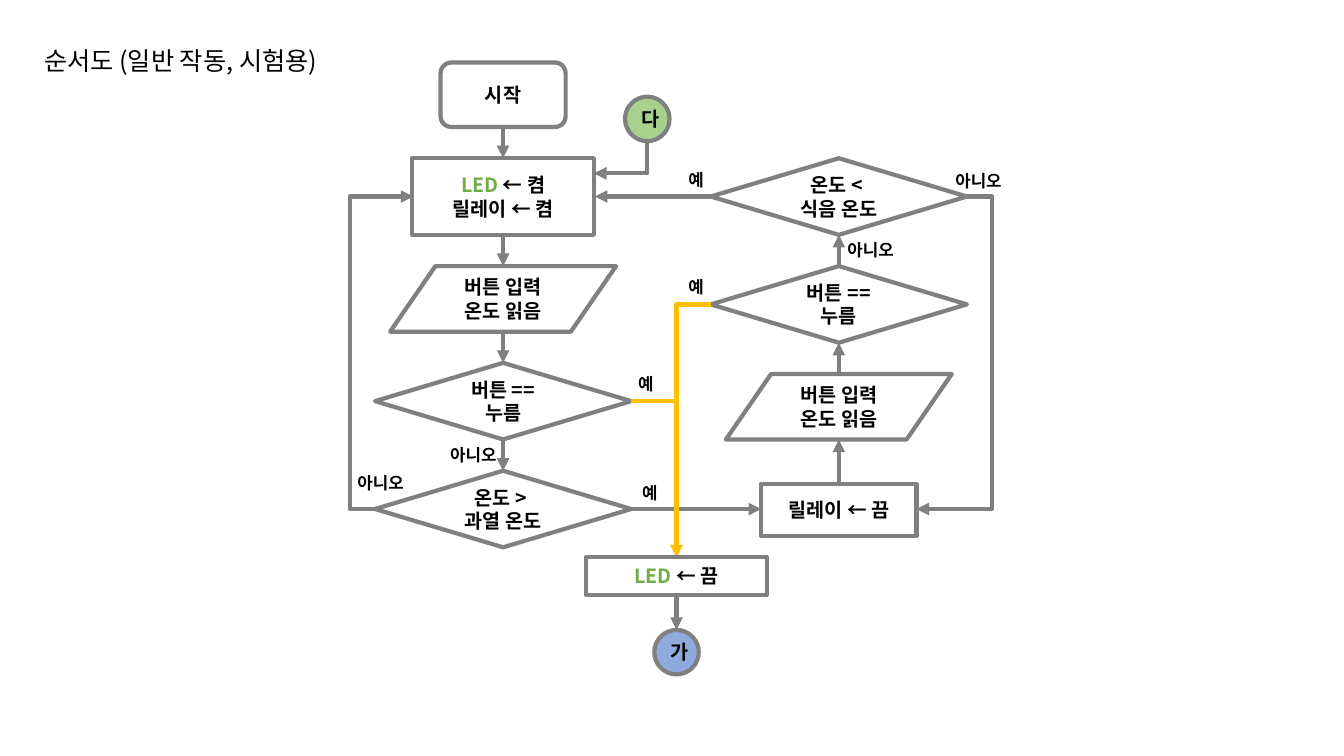
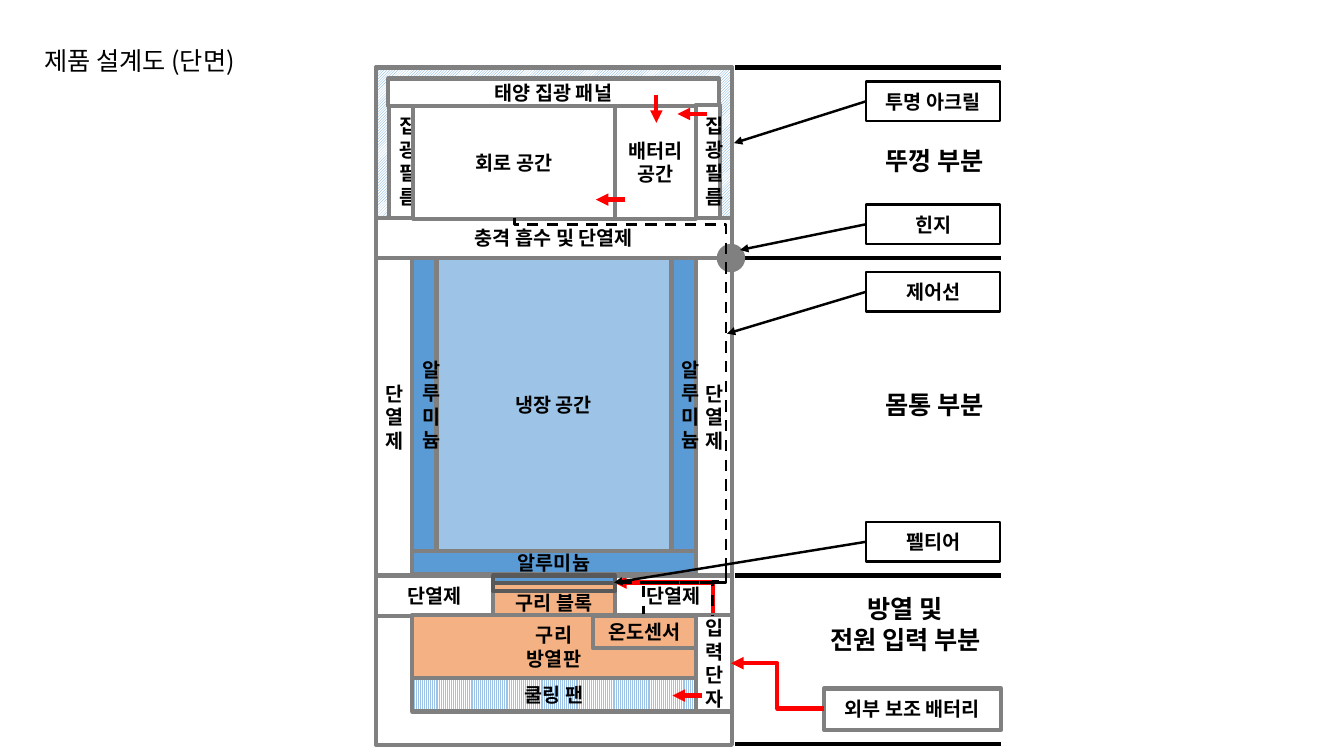
"""Build a control flowchart slide and a product cross-section slide."""
from dataclasses import dataclass
from typing import Optional, Union

from lxml import etree
from pptx import Presentation
from pptx.dml.color import RGBColor
from pptx.enum.dml import MSO_LINE, MSO_PATTERN
from pptx.enum.shapes import MSO_CONNECTOR, MSO_SHAPE
from pptx.enum.text import MSO_ANCHOR, PP_ALIGN
from pptx.oxml.ns import qn
from pptx.util import Inches, Pt

RECT = MSO_SHAPE.RECTANGLE
PROCESS = MSO_SHAPE.FLOWCHART_PROCESS
TERMINAL = MSO_SHAPE.FLOWCHART_ALTERNATE_PROCESS
DECISION = MSO_SHAPE.FLOWCHART_DECISION
DATA = MSO_SHAPE.FLOWCHART_DATA
OVAL = MSO_SHAPE.OVAL
DIAGONAL = MSO_PATTERN.LIGHT_UPWARD_DIAGONAL
VERTICAL = MSO_PATTERN.LIGHT_VERTICAL
DASH = MSO_LINE.DASH
STRAIGHT = MSO_CONNECTOR.STRAIGHT
CENTER, LEFT = PP_ALIGN.CENTER, PP_ALIGN.LEFT
MIDDLE, TOP = MSO_ANCHOR.MIDDLE, MSO_ANCHOR.TOP

FONT = "Noto Sans CJK KR"
BLACK, WHITE, GRAY, DARK = "000000", "FFFFFF", "808080", "595959"
RED, AMBER, GREEN = "FF0000", "FFC000", "70AD47"
BLUE, SKY, COPPER = "5B9BD5", "9DC3E6", "F4B183"
MINT, PERIWINKLE = "A9D18E", "8FAADC"
ACCENT = "LED"
Point = tuple[float, float]


@dataclass
class Box:
    """A preset shape with optional centred text."""
    left: float
    top: float
    width: float
    height: float
    text: str = ""
    fill: Optional[str] = None
    kind: MSO_SHAPE = RECT
    line: str = GRAY
    weight: float = 3
    pattern: Optional[MSO_PATTERN] = None


@dataclass
class Label:
    """Free text in a box."""
    left: float
    top: float
    width: float
    height: float
    text: str
    size: float = 12
    bold: bool = True
    align: PP_ALIGN = CENTER
    wrap: bool = False


@dataclass
class Route:
    """A straight or right-angled line through points."""
    points: list[Point]
    color: str = GRAY
    weight: float = 3
    arrow: bool = True
    dashed: bool = False


Item = Union[Box, Label, Route]


def rgb(color: str) -> RGBColor:
    """Turn a hex string into a colour."""
    return RGBColor.from_string(color)


def write(frame, text: str, size: float, bold: bool, align: PP_ALIGN) -> None:
    """Fill a text frame with one paragraph per line."""
    for index, line in enumerate(text.split("\n")):
        para = frame.paragraphs[0] if index == 0 else frame.add_paragraph()
        para.alignment = align
        para.font.size, para.font.bold = Pt(size), bold
        para.font.color.rgb = rgb(BLACK)
        para.font.name = FONT
        defaults = para._p.find(".//" + qn("a:defRPr"))
        etree.SubElement(defaults, qn("a:ea"), typeface=FONT)
        if line.startswith(ACCENT):
            span = para.add_run()
            span.text = ACCENT
            span.font.color.rgb = rgb(GREEN)
            line = line.removeprefix(ACCENT)
        para.add_run().text = line


def draw_box(page, item: Box) -> None:
    """Draw a preset shape."""
    box = page.shapes.add_shape(item.kind, Inches(item.left), Inches(item.top),
                                Inches(item.width), Inches(item.height))
    box.shadow.inherit = False
    if item.pattern:
        box.fill.patterned()
        box.fill.pattern = item.pattern
        box.fill.fore_color.rgb = rgb(item.fill)
        box.fill.back_color.rgb = rgb(WHITE)
    elif item.fill:
        box.fill.solid()
        box.fill.fore_color.rgb = rgb(item.fill)
    else:
        box.fill.background()
    box.line.color.rgb = rgb(item.line)
    box.line.width = Pt(item.weight)
    if item.text:
        box.text_frame.word_wrap = True
        box.text_frame.vertical_anchor = MIDDLE
        write(box.text_frame, item.text, 14, True, CENTER)


def draw_label(page, item: Label) -> None:
    """Draw free text."""
    box = page.shapes.add_textbox(Inches(item.left), Inches(item.top),
                                  Inches(item.width), Inches(item.height))
    box.text_frame.word_wrap = item.wrap
    box.text_frame.vertical_anchor = TOP
    write(box.text_frame, item.text, item.size, item.bold, item.align)


def bend(line, points: list[Point], upright: bool) -> None:
    """Give a connector the right-angled preset that follows the points."""
    geometry = line.element.spPr.find(qn("a:prstGeom"))
    geometry.set("prst", f"bentConnector{len(points) - 1}")
    guides = geometry.find(qn("a:avLst"))
    if guides is None:
        guides = etree.SubElement(geometry, qn("a:avLst"))
    start, end = points[0], points[-1]
    for index, point in enumerate(points[1:-2], start=1):
        axis = (index + 1 + upright) % 2
        share = (point[axis] - start[axis]) / (end[axis] - start[axis])
        etree.SubElement(guides, qn("a:gd"), name=f"adj{index}",
                         fmla=f"val {round(share * 100000)}")


def draw_route(page, item: Route) -> None:
    """Draw a connector, turned a quarter when a bent one starts vertically."""
    (x1, y1), (x2, y2) = item.points[0], item.points[-1]
    bent = len(item.points) > 2
    upright = bent and item.points[1][0] == x1
    turn = 0
    if upright:
        turn = 90 if x2 < x1 and y2 > y1 else 270
        sign = 1 if turn == 90 else -1
        mid_x, mid_y = (x1 + x2) / 2, (y1 + y2) / 2
        half_x, half_y = sign * (y2 - y1) / 2, sign * (x1 - x2) / 2
        x1, x2 = mid_x - half_x, mid_x + half_x
        y1, y2 = mid_y - half_y, mid_y + half_y
    line = page.shapes.add_connector(STRAIGHT, Inches(x1), Inches(y1), Inches(x2), Inches(y2))
    if bent:
        bend(line, item.points, upright)
    if turn:
        line.element.spPr.find(qn("a:xfrm")).set("rot", str(turn * 60000))
    line.line.color.rgb = rgb(item.color)
    line.line.width = Pt(item.weight)
    if item.dashed:
        line.line.dash_style = DASH
    if item.arrow:
        etree.SubElement(line.line._get_or_add_ln(), qn("a:tailEnd"), type="triangle")
    etree.SubElement(line.element.spPr, qn("a:effectLst"))


def add_page(deck, title: str, items: list[Item]) -> None:
    """Add a titled slide and draw its items from back to front."""
    page = deck.slides.add_slide(deck.slide_layouts[6])
    draw_label(page, Label(0.34, 0.4, 3.2, 0.4, title, 18, False, LEFT, True))
    painters = {Box: draw_box, Label: draw_label, Route: draw_route}
    for item in items:
        painters[type(item)](page, item)


def node(kind: MSO_SHAPE, center: float, top: float, text: str,
         fill: Optional[str] = None) -> Box:
    """Place a flowchart node of its usual size under a column centre."""
    width, height = {DECISION: (2.54, 0.76), DATA: (2.24, 0.65), PROCESS: (1.8, 0.76),
                     TERMINAL: (1.24, 0.64), OVAL: (0.44, 0.44)}[kind]
    return Box(center - width / 2, top, width, height, text, fill, kind)


def answer(left: float, top: float, text: str) -> Label:
    """Place the answer on a branch."""
    return Label(left, top, 0.37 if text == "예" else 0.71, 0.3, text)


def flowchart() -> list[Item]:
    """List the flowchart's nodes, branches and answers."""
    heat, cool, off = 4.99, 8.32, 6.71
    pressed, reading = "버튼 ==\n누름", "버튼 입력\n온도 읽음"
    nodes = [
        node(TERMINAL, heat, 0.62, "시작"),
        node(PROCESS, heat, 1.57, "LED ← 켬\n릴레이 ← 켬"),
        node(DATA, heat, 2.64, reading),
        node(DECISION, heat, 3.6, pressed),
        node(DECISION, heat, 4.67, "온도 > \n과열 온도"),
        Box(7.55, 4.8, 1.54, 0.52, "릴레이 ← 끔", kind=PROCESS),
        node(DATA, cool, 3.71, reading),
        node(DECISION, cool, 2.64, pressed),
        node(DECISION, cool, 1.57, "온도 < \n식음 온도"),
    ]
    steps = [(heat, 1.26, 1.57), (heat, 2.33, 2.64), (heat, 3.29, 3.6), (heat, 4.36, 4.67),
             (cool, 4.8, 4.36), (cool, 3.71, 3.4), (cool, 2.64, 2.33), (off, 5.91, 6.25)]
    routes = [Route([(x, start), (x, end)]) for x, start, end in steps]
    routes += [
        Route([(3.72, 5.05), (3.47, 5.05), (3.47, 1.95), (4.1, 1.95)]),
        Route([(6.26, 5.05), (7.55, 5.05)]),
        Route([(7.05, 1.95), (5.9, 1.95)]),
        Route([(9.59, 1.95), (9.84, 1.95), (9.84, 5.05), (9.09, 5.05)]),
        Route([(6.42, 1.41), (6.42, 1.72), (5.89, 1.72)]),
        Route([(7.05, 3.02), (off, 3.02), (off, 5.53)], AMBER),
        Route([(6.26, 3.98), (off, 3.98), (off, 5.53)], AMBER),
    ]
    yes = [(6.72, 1.63), (6.72, 2.7), (6.22, 3.66), (6.26, 4.74)]
    no = [(3.42, 4.64), (9.35, 1.64), (4.34, 4.36), (8.28, 2.33)]
    answers = [answer(*spot, "예") for spot in yes] + [answer(*spot, "아니오") for spot in no]
    ends = [Box(5.81, 5.53, 1.8, 0.37, "LED ← 끔", kind=PROCESS),
            node(OVAL, off, 6.25, "가", PERIWINKLE),
            node(OVAL, 6.42, 0.96, "다", MINT)]
    return nodes + routes + answers + ends


def stacked(word: str) -> str:
    """Put each letter on its own line."""
    return "\n".join(word)


def callout(top: float, text: str, target: Point) -> list[Item]:
    """Name a part in a box at the right and point at it."""
    left, height = 8.59, 0.39
    return [Box(left, top, 1.33, height, text, kind=PROCESS, line=BLACK, weight=1.75),
            Route([(left, top + height / 2), target], BLACK, 1.75)]


def cross_section() -> list[Item]:
    """List the parts of the product, its wiring and its callouts."""
    left, inner, right, width = 3.73, 4.09, 6.9, 3.53
    core, wall, lining = right - inner, 0.36, 0.24
    lid, lid_end, body, base, sink = 0.67, 2.16, 2.56, 5.71, 6.1
    peltier = (6.09, 5.78)
    items: list[Item] = [
        Box(left, lid, width, 6.72, fill=WHITE),
        Box(left, lid, width, lid_end - lid, fill=BLUE, pattern=DIAGONAL),
        Box(3.86, 1.04, lining, 1.12, stacked("집광필름"), WHITE),
        Box(left, body, wall, base - body, stacked("단열제")),
        Box(right, body, wall, base - body, stacked("단열제")),
        Box(left, base, 1.16, 0.4, "단열제"),
        Box(left, lid_end, width, 0.4, "충격 흡수 및 단열제"),
        Box(4.89, 5.85, 1.21, 0.25, "구리 블록", COPPER),
        Box(4.1, 1.05, 2, 1.12, "회로 공간", WHITE),
        Box(6.1, 1.05, 0.8, 1.12, "배터리 공간", WHITE),
        Box(3.85, 0.78, 3.28, 0.27, "태양 집광 패널", WHITE),
        Box(inner, sink, core, 0.63, "구리\n방열판", COPPER),
        Box(inner, 6.73, core, 0.33, "쿨링 팬", SKY, pattern=VERTICAL),
        Box(inner, 5.47, core, 0.23, "알루미늄", BLUE),
        Box(8.17, 6.83, 1.76, 0.41, "외부 보조 배터리"),
        Box(4.32, body, 2.34, 2.91, "냉장 공간", SKY),
    ]
    items += [Route([(7.29, y), (9.93, y)], BLACK, arrow=False) for y in (lid, body, base, 7.38)]
    items += [
        Label(8.62, 1.39, 1.3, 0.4, "뚜껑 부분", 18),
        Label(8.62, 3.81, 1.3, 0.4, "몸통 부분", 18),
        Label(8.03, 5.84, 1.9, 0.71, "방열 및\n전원 입력 부분", 18),
    ]
    items += [Box(x, body, lining, 2.91, stacked("알루미늄"), BLUE)
              for x in (inner, right - lining)]
    items += [
        Box(7.13, 2.44, 0.24, 0.24, fill=GRAY, kind=OVAL),
        Box(right, 1.04, lining, 1.12, stacked("집광필름"), WHITE),
        Route([(7.07, sink), (7.07, 5.78), peltier], RED),
        Box(right, sink, wall, 0.96, stacked("입력단자")),
        Box(6.1, base, 1.16, 0.39, "단열제"),
        Box(4.89, base, 1.21, 0.14, fill=BLUE, line=DARK),
        Box(4.89, 5.78, 1.21, 0.08, fill=COPPER, line=DARK),
        Route([(8.17, 7.03), (7.71, 7.03), (7.71, 6.58), (7.25, 6.58)], RED),
    ]
    currents = [[(6.51, 0.94), (6.51, 1.22)], [(6.2, 1.98), (5.91, 1.98)],
                [(6.96, 6.9), (6.67, 6.9)], [(7.01, 1.13), (6.72, 1.13)]]
    items += [Route(points, RED) for points in currents]
    wires = [[(5.1, lid_end), (5.1, 2.23), (7.2, 2.23), (7.2, 5.78), peltier],
             [(7.13, 5.78), (6.38, 5.78), (6.38, 6.11)],
             [(7.2, 5.64), (7.2, 5.77), (7.07, 5.77), (7.07, sink)]]
    items += [Route(points, BLACK, 2, arrow=False, dashed=True) for points in wires]
    items.append(Box(5.88, 6.11, 1.02, 0.32, "온도센서", COPPER))
    callouts = [(0.81, "투명 아크릴", (7.28, 1.42)), (2.03, "힌지", (7.34, 2.48)),
                (2.7, "제어선", (7.21, 3.31)), (5.18, "펠티어", peltier)]
    for entry in callouts:
        items += callout(*entry)
    return items


def main() -> None:
    """Build and save the deck."""
    deck = Presentation()
    deck.slide_width, deck.slide_height = Inches(13.33), Inches(7.5)
    add_page(deck, "순서도 (일반 작동, 시험용)", flowchart())
    add_page(deck, "제품 설계도 (단면)", cross_section())
    deck.save("out.pptx")


if __name__ == "__main__":
    main()
